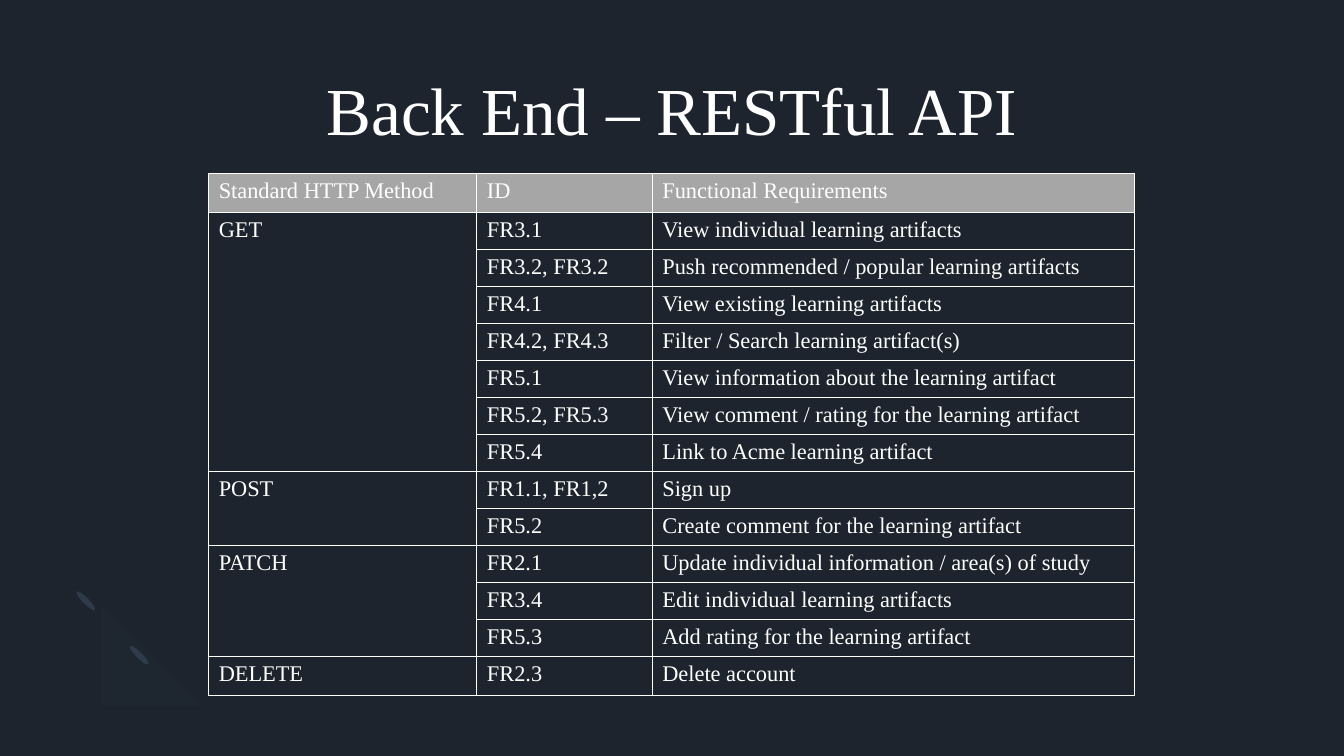
"""Build the RESTful API slide with its table of HTTP methods."""
from lxml import etree
from pptx import Presentation
from pptx.dml.color import RGBColor
from pptx.enum import shapes, text
from pptx.oxml import ns
from pptx.util import Inches, Pt

FONT = "Times New Roman"
WHITE, NAVY, GREY, SLATE, MIST = "FFFFFF", "1D242E", "A6A6A6", "2E3949", "7A8EAB"
TITLE = "Back End – RESTful API"
HEADINGS = ("Standard HTTP Method", "ID", "Functional Requirements")
METHODS = {
    "GET": [
        ("FR3.1", "View individual learning artifacts"),
        ("FR3.2, FR3.2", "Push recommended / popular learning artifacts"),
        ("FR4.1", "View existing learning artifacts"),
        ("FR4.2, FR4.3", "Filter / Search learning artifact(s)"),
        ("FR5.1", "View information about the learning artifact"),
        ("FR5.2, FR5.3", "View comment / rating for the learning artifact"),
        ("FR5.4", "Link to Acme learning artifact"),
    ],
    "POST": [
        ("FR1.1, FR1,2", "Sign up"),
        ("FR5.2", "Create comment for the learning artifact"),
    ],
    "PATCH": [
        ("FR2.1", "Update individual information / area(s) of study"),
        ("FR3.4", "Edit individual learning artifacts"),
        ("FR5.3", "Add rating for the learning artifact"),
    ],
    "DELETE": [("FR2.3", "Delete account")],
}
COLUMN_WIDTHS = (2.66, 1.74, 4.78)
END_ROW, INNER_ROW = 0.39, 0.35
RING_ENDS = ((1.35, 6.37), (0.82, 5.83))
OUTER_ARC = [((0.76, 6.59), (0.56, 6.39), (0.58, 6.05), (0.81, 5.82))]
INNER_ARC = [
    ((0.99, 6), (0.87, 6.11), (0.86, 6.29), (0.96, 6.38)),
    ((0.96, 6.38), (1.06, 6.48), (1.23, 6.47), (1.35, 6.36)),
]
CLOSING_ARC = [((1.52, 6.54), (1.3, 6.76), (0.95, 6.79), (0.76, 6.59))]


def paint(fill, colour):
    fill.solid()
    fill.fore_color.rgb = RGBColor.from_string(colour)


def write(frame, words, size):
    frame.text = words
    font = frame.paragraphs[0].runs[0].font
    font.name, font.size = FONT, Pt(size)
    font.color.rgb = RGBColor.from_string(WHITE)


def curve_points(curve, steps=12):
    for step in range(steps + 1):
        t = step / steps
        weights = ((1 - t) ** 3, 3 * t * (1 - t) ** 2, 3 * t * t * (1 - t), t ** 3)
        yield tuple(sum(w * point[axis] for w, point in zip(weights, curve)) for axis in (0, 1))


def add_ring(slide):
    for left, top in RING_ENDS:
        tip = slide.shapes.add_shape(
            shapes.MSO_SHAPE.OVAL, Inches(left), Inches(top), Inches(0.06), Inches(0.26))
        tip.rotation = 135
        tip.shadow.inherit = False
        paint(tip.fill, SLATE)
        tip.line.fill.background()
    points = [p for curve in OUTER_ARC + INNER_ARC + CLOSING_ARC for p in curve_points(curve)]
    builder = slide.shapes.build_freeform(*points[0], scale=Inches(1))
    builder.add_line_segments(points[1:], close=True)
    ring = builder.convert_to_shape()
    ring.shadow.inherit = False
    paint(ring.fill, MIST)
    ring.line.fill.background()
    colour = ring.fill._xPr.find(".//" + ns.qn("a:srgbClr"))
    etree.SubElement(colour, ns.qn("a:alpha"), val="2000")


def add_borders(cell):
    properties = cell._tc.get_or_add_tcPr()
    for index, side in enumerate(("a:lnL", "a:lnR", "a:lnT", "a:lnB")):
        line = etree.Element(ns.qn(side), w=str(Pt(1)))
        solid = etree.SubElement(line, ns.qn("a:solidFill"))
        etree.SubElement(solid, ns.qn("a:srgbClr"), val=WHITE)
        properties.insert(index, line)


def add_method_table(slide):
    rows = [HEADINGS]
    spans = []
    for method, requirements in METHODS.items():
        spans.append((len(rows), len(rows) + len(requirements) - 1))
        for index, requirement in enumerate(requirements):
            rows.append(("" if index else method, *requirement))
    heights = [END_ROW] + [INNER_ROW] * (len(rows) - 2) + [END_ROW]
    table = slide.shapes.add_table(
        len(rows), len(HEADINGS), Inches(2.07), Inches(1.72),
        Inches(sum(COLUMN_WIDTHS)), Inches(sum(heights))).table
    for column, width in zip(table.columns, COLUMN_WIDTHS):
        column.width = Inches(width)
    for row, height in zip(table.rows, heights):
        row.height = Inches(height)
    for r, values in enumerate(rows):
        for c, value in enumerate(values):
            cell = table.cell(r, c)
            if value:
                write(cell.text_frame, value, 16)
            if r:
                cell.fill.background()
            else:
                paint(cell.fill, GREY)
            add_borders(cell)
    for first, last in spans:
        if last > first:
            table.cell(first, 0).merge(table.cell(last, 0))


def main():
    deck = Presentation()
    deck.slide_width, deck.slide_height = Inches(13.33), Inches(7.5)
    slide = deck.slides.add_slide(deck.slide_layouts[6])
    paint(slide.background.fill, NAVY)
    add_ring(slide)
    box = slide.shapes.add_textbox(Inches(0.6), Inches(0.6), Inches(12.13), Inches(1.46))
    frame = box.text_frame
    frame.word_wrap = True
    frame.margin_left = frame.margin_right = frame.margin_top = frame.margin_bottom = 0
    frame.vertical_anchor = text.MSO_ANCHOR.TOP
    write(frame, TITLE, 48)
    frame.paragraphs[0].alignment = text.PP_ALIGN.CENTER
    frame.paragraphs[0].line_spacing = 1.1
    add_method_table(slide)
    deck.save("out.pptx")


if __name__ == "__main__":
    main()
